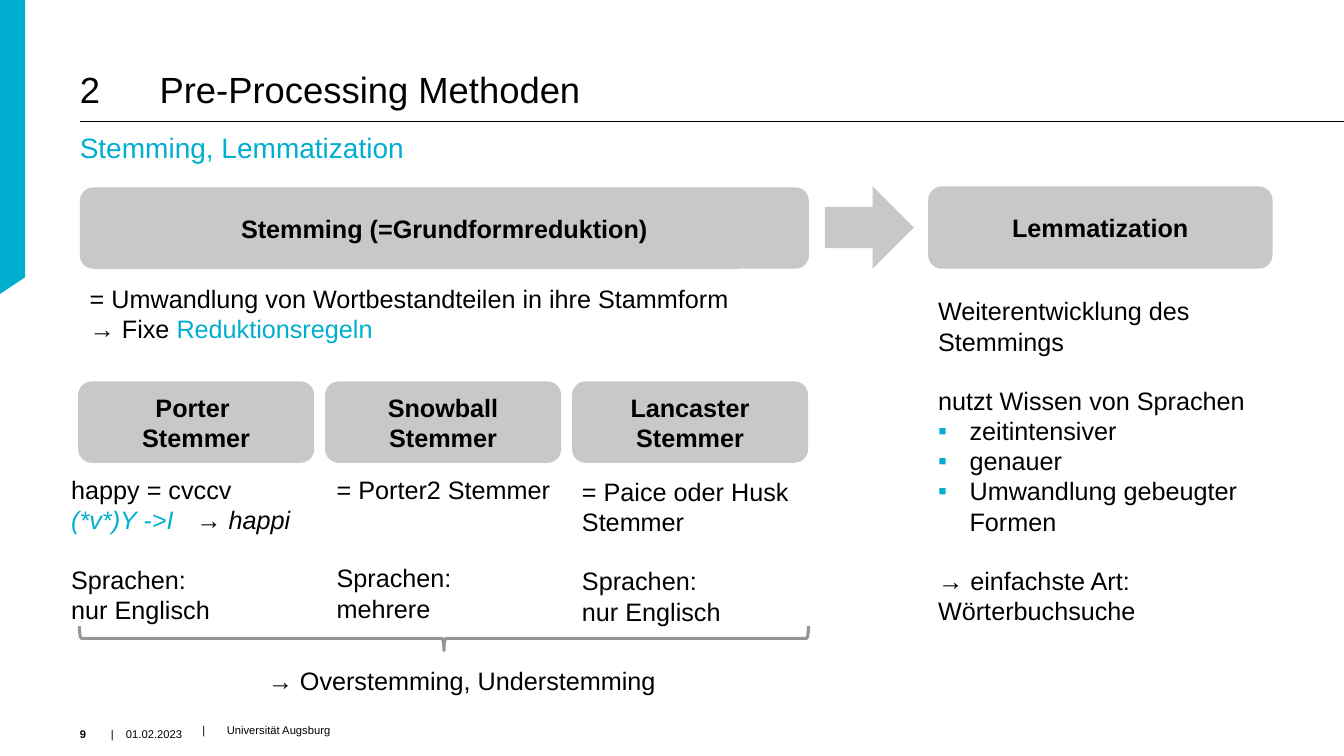
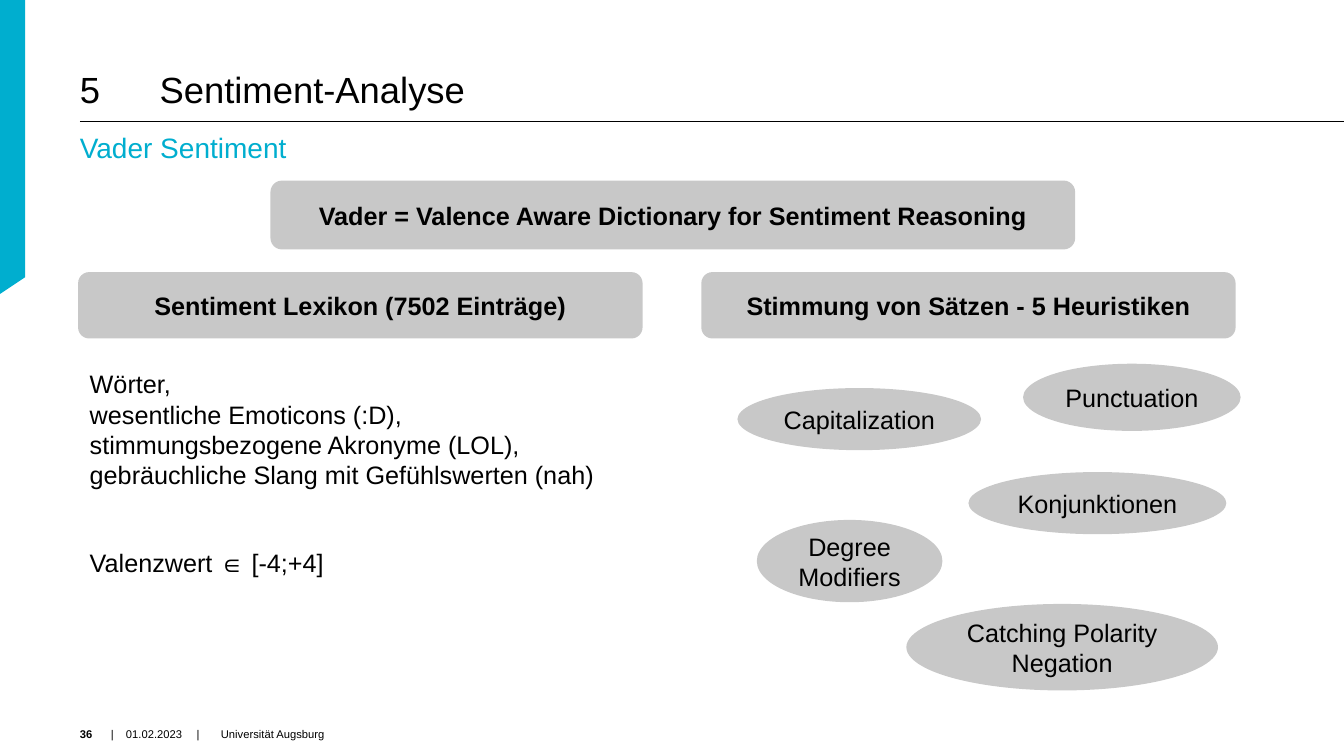
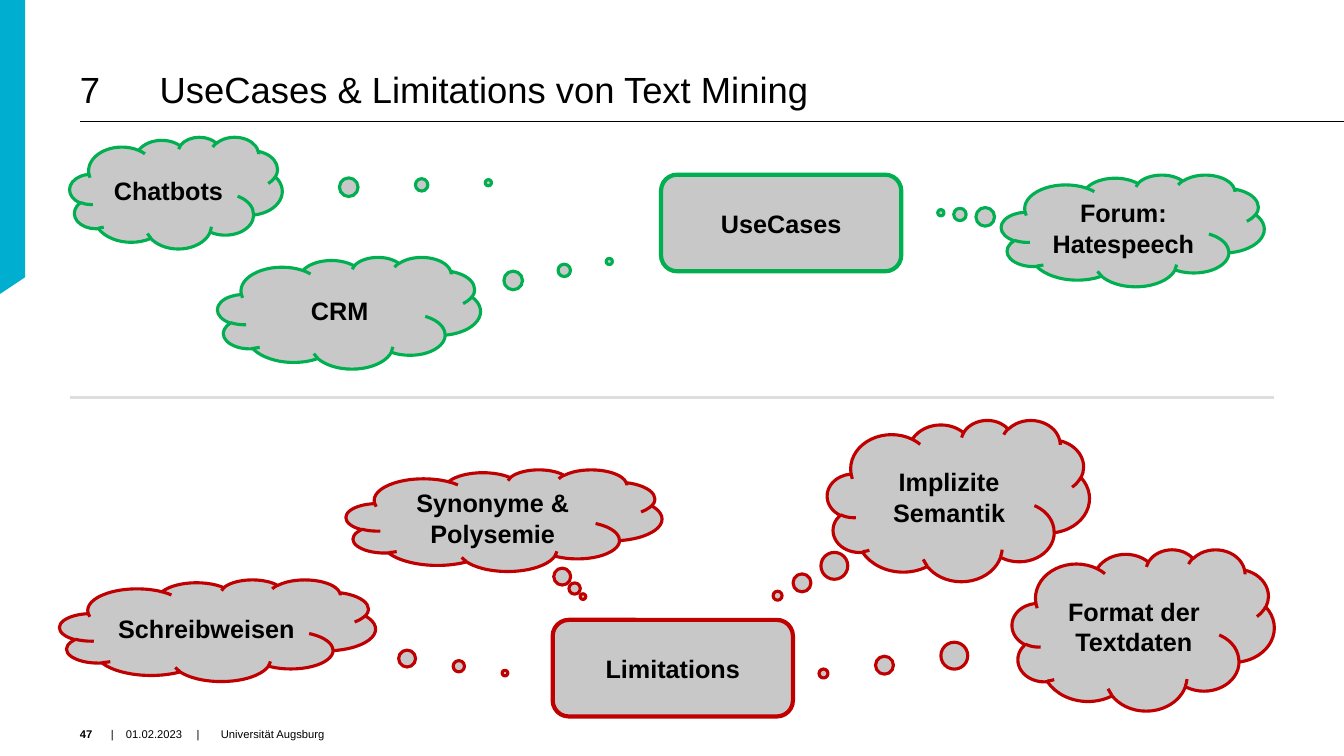
from typing import NamedTuple

from lxml import etree
from pptx import Presentation
from pptx.dml.color import RGBColor
from pptx.enum.shapes import MSO_CONNECTOR, MSO_SHAPE
from pptx.enum.text import MSO_ANCHOR, PP_ALIGN
from pptx.oxml.ns import qn
from pptx.util import Pt

CELL = 76200
COLS, ROWS = 160, 90
LEFT, WIDE = 9.5, 141.1
LINE = 20.7

BLACK = RGBColor(0x00, 0x00, 0x00)
CYAN = RGBColor(0x00, 0xAE, 0xCF)
GREY = RGBColor(0xC8, 0xC8, 0xC8)
DARK = RGBColor(0x96, 0x96, 0x96)
PALE = RGBColor(0xDE, 0xDE, 0xDE)
GREEN = RGBColor(0x00, 0xB0, 0x50)
RED = RGBColor(0xC0, 0x00, 0x00)

ROUND = MSO_SHAPE.ROUNDED_RECTANGLE
OVAL = MSO_SHAPE.OVAL
CLOUD = MSO_SHAPE.CLOUD_CALLOUT
ARROW = MSO_SHAPE.RIGHT_ARROW
BRACE = MSO_SHAPE.RIGHT_BRACE
STRAIGHT = MSO_CONNECTOR.STRAIGHT
TOP, MIDDLE, BOTTOM = MSO_ANCHOR.TOP, MSO_ANCHOR.MIDDLE, MSO_ANCHOR.BOTTOM
CENTER = PP_ALIGN.CENTER


class Para(NamedTuple):
    """Paragraph: plain text or (text, colour, italic) runs, with its layout."""
    text: object
    gap: float = 0
    mark: bool = False
    tab: float = 0
    lead: float = 1


def cells(*spans):
    """Turn grid cells into lengths."""
    return [round(span * CELL) for span in spans]


class Deck:
    """Holds the style and the current slide of a 160 by 90 grid."""

    def __init__(self):
        """Start an empty deck."""
        self.file = Presentation()
        self.file.slide_width, self.file.slide_height = cells(COLS, ROWS)
        self.slide = None

    def page(self, num, part, title, sub=None, shift=(0, 0)):
        """Add a slide with its band, rule, title and footer."""
        self.slide = self.file.slides.add_slide(self.file.slide_layouts[6])
        band = self.slide.shapes.build_freeform(0, 0, scale=CELL)
        band.add_line_segments([(3, 0), (3, 32.8), (0, 34.7)])
        self.paint(band.convert_to_shape(), CYAN)
        self.rule(LEFT, COLS, 14.4, BLACK, 0.5)
        head = Para(f"{part}\t{title}", tab=LEFT, lead=0.9)
        self.text((LEFT, 0, WIDE, 13.3), [head], 26, anchor=BOTTOM, pad=0)
        if sub:
            self.text((LEFT, 15.5, WIDE, 4.8), [sub], 20, CYAN, pad=0)
        right, down = shift
        foot = [(LEFT, 85.3, 4.2, num, 0),
                (13.2, 85.3, 10.6, "|\t01.02.2023", 1.8),
                (23.4 + right, 85.3 + down, 95.8, "|\tUniversität Augsburg", 2.9)]
        for x, y, wide, words, tab in foot:
            self.text((x, y, wide, 2.9), [Para(words, tab=tab)], 8,
                      bold=words == num, anchor=BOTTOM, pad=0)

    def paint(self, shape, fill=None, line=None, width=0):
        """Set fill and outline and drop the shadow."""
        shape.shadow.inherit = False
        if fill is None:
            shape.fill.background()
        else:
            shape.fill.solid()
            shape.fill.fore_color.rgb = fill
        if line is None:
            shape.line.fill.background()
        else:
            shape.line.color.rgb = line
            shape.line.width = Pt(width)

    def rule(self, start, end, y, color, width):
        """Draw a level line."""
        line = self.slide.shapes.add_connector(STRAIGHT, *cells(start, y, end, y))
        line.line.color.rgb = color
        line.line.width = Pt(width)
        etree.SubElement(line._element.spPr, qn("a:effectLst"))

    def put(self, frame, paras, size, color, bold, align=None):
        """Fill a text frame with paragraphs."""
        frame.word_wrap = True
        for i, para in enumerate(paras):
            if isinstance(para, str):
                para = Para(para)
            item = frame.paragraphs[0] if i == 0 else frame.add_paragraph()
            item.alignment = align
            item.line_spacing = para.lead
            item.space_before = Pt(para.gap)
            prop = item._p.get_or_add_pPr()
            if para.mark:
                hang = cells(3.75)[0]
                prop.set("marL", str(hang))
                prop.set("indent", str(-hang))
                tint = etree.SubElement(prop, qn("a:buClr"))
                etree.SubElement(tint, qn("a:srgbClr"), val=str(CYAN))
                etree.SubElement(prop, qn("a:buFont"), typeface="Arial")
                etree.SubElement(prop, qn("a:buChar"), char="▪")
            if para.tab:
                tabs = etree.SubElement(prop, qn("a:tabLst"))
                etree.SubElement(tabs, qn("a:tab"), pos=str(cells(para.tab)[0]), algn="l")
            font = item.font
            font.name, font.size, font.bold = "Arial", Pt(size), bold
            font.color.rgb = color
            if isinstance(para.text, str):
                item.add_run().text = para.text
                continue
            for words, tint, slant in para.text:
                run = item.add_run()
                run.text = words
                run.font.color.rgb = tint
                run.font.italic = slant

    def text(self, at, paras, size=18, color=BLACK, bold=False, anchor=TOP, pad=None):
        """Add a text box."""
        frame = self.slide.shapes.add_textbox(*cells(*at)).text_frame
        frame.vertical_anchor = anchor
        if pad is not None:
            frame.margin_left = frame.margin_right = pad
            frame.margin_top = frame.margin_bottom = pad
        self.put(frame, paras, size, color, bold)

    def shape(self, kind, at, paras=(), bold=True, fill=GREY, line=None, width=0,
              tune=(), turn=0):
        """Add a preset shape with centred text."""
        shape = self.slide.shapes.add_shape(kind, *cells(*at))
        self.paint(shape, fill, line, width)
        for i, value in enumerate(tune):
            shape.adjustments[i] = value
        shape.rotation = turn
        if paras:
            shape.text_frame.vertical_anchor = MIDDLE
            self.put(shape.text_frame, paras, 18, BLACK, bold, CENTER)


def stems(deck):
    """Build the stemming slide."""
    deck.page("9", "2", "Pre-Processing Methoden", "Stemming, Lemmatization", (0.7, -0.5))
    deck.shape(ROUND, (LEFT, 22.3, 86.8, 9.7), ["Stemming (=Grundformreduktion)"])
    deck.shape(ARROW, (98.2, 22.2, 10.6, 9.8))
    deck.shape(ROUND, (110.5, 22.2, 41, 9.8), ["Lemmatization"])
    deck.text((LEFT, 33.1, 86.8, 8.5), [
        "= Umwandlung von Wortbestandteilen in ihre Stammform",
        Para([("→ Fixe ", BLACK, False), ("Reduktionsregeln", CYAN, False)])])
    names = [["Porter ", "Stemmer"], ["Snowball Stemmer"], ["Lancaster Stemmer"]]
    for i, name in enumerate(names):
        deck.shape(ROUND, (9.3 + 29.4 * i, 45.4, 28.1, 9.7), name)
    sound = [("(*v*)Y ->I", CYAN, True), ("\t→ ", BLACK, False), ("happi", BLACK, True)]
    notes = [
        (7.3, 55.9, 31.4, ["happy = cvccv", Para(sound, tab=14.9),
                           Para("Sprachen:", LINE), "nur Englisch"]),
        (38.9, 55.9, 28.1, ["= Porter2 Stemmer", Para("Sprachen:", 2 * LINE), "mehrere"]),
        (68.1, 56.1, 28.2, ["= Paice oder Husk Stemmer", Para("Sprachen:", LINE),
                            "nur Englisch"])]
    for x, y, wide, paras in notes:
        deck.text((x, y, wide, 19.4), paras)
    deck.shape(BRACE, (51.4, 32.6, 2.9, 86.8), fill=None, line=DARK, width=2.25,
               tune=(0.08, 0.5), turn=90)
    deck.text((30.7, 78.6, 49.2, 4.8), ["→ Overstemming, Understemming"])
    deck.text((110.5, 34.6, 40.2, 41.2), [
        "Weiterentwicklung des Stemmings",
        Para("nutzt Wissen von Sprachen", LINE),
        Para("zeitintensiver", mark=True),
        Para("genauer", mark=True),
        Para("Umwandlung gebeugter Formen", mark=True),
        Para("→ einfachste Art: Wörterbuchsuche", LINE)])


def moods(deck):
    """Build the sentiment slide."""
    deck.page("36", "5", "Sentiment-Analyse", "Vader Sentiment")
    boxes = [
        ((32.2, 21.5, 95.8, 8.2), "Vader = Valence Aware Dictionary for Sentiment Reasoning"),
        ((9.3, 32.4, 67.2, 7.9), "Sentiment Lexikon (7502 Einträge)"),
        ((83.5, 32.4, 63.6, 7.9), "Stimmung von Sätzen - 5 Heuristiken")]
    for at, name in boxes:
        deck.shape(ROUND, at, [name])
    deck.text((LEFT, 43.3, 62.5, 26.6), [
        "Wörter,",
        "wesentliche Emoticons (:D),",
        "stimmungsbezogene Akronyme (LOL), gebräuchliche Slang mit Gefühlswerten (nah)",
        Para("Valenzwert ∈ [-4;+4]", 2 * LINE)])
    rules = [
        ((87.8, 46.2, 29, 7.4), "Capitalization"),
        ((121.8, 43.3, 25.9, 8), "Punctuation"),
        ((115.3, 56.2, 30.7, 7.4), "Konjunktionen"),
        ((90.1, 61.9, 22.1, 9.8), "Degree Modifiers"),
        ((107.9, 71.9, 37.1, 10.3), "Catching Polarity Negation")]
    for at, name in rules:
        deck.shape(OVAL, at, [name], bold=False)


def cases(deck):
    """Build the use case slide."""
    deck.page("47", "7", "UseCases & Limitations von Text Mining")
    deck.rule(8.3, 151.7, 47.3, PALE, 2.25)
    for x, y, name, color in [(78.7, 20.8, "UseCases", GREEN),
                              (65.8, 73.8, "Limitations", RED)]:
        deck.shape(ROUND, (x, y, 28.6, 11.5), [name], line=color, width=3)
    clouds = [
        ((25.9, 30.6, 31.3, 13.3), "CRM", GREEN, (0.99, -0.46)),
        ((8.3, 16.3, 25.3, 13.3), "Chatbots", GREEN, (1.47, -0.09)),
        ((119.2, 20.8, 31.3, 13.3), "Forum: Hatespeech", GREEN, (-0.73, -0.16)),
        ((120.5, 65.4, 31.2, 19.2), "Format der Textdaten", RED, (-1.22, 0.27)),
        ((98.5, 50, 31.2, 19.2), "Implizite Semantik", RED, (-0.69, 0.59)),
        ((7.1, 69, 37.6, 12.1), "Schreibweisen", RED, (0.91, 0.42)),
        ((41.2, 55.9, 37.6, 12.1), "Synonyme & Polysemie", RED, (0.25, 0.75))]
    for at, name, color, tail in clouds:
        deck.shape(CLOUD, at, [name], line=color, width=2.25, tune=tail)


def main():
    """Build and save the deck."""
    deck = Deck()
    for build in (stems, moods, cases):
        build(deck)
    deck.file.save("out.pptx")


if __name__ == "__main__":
    main()
